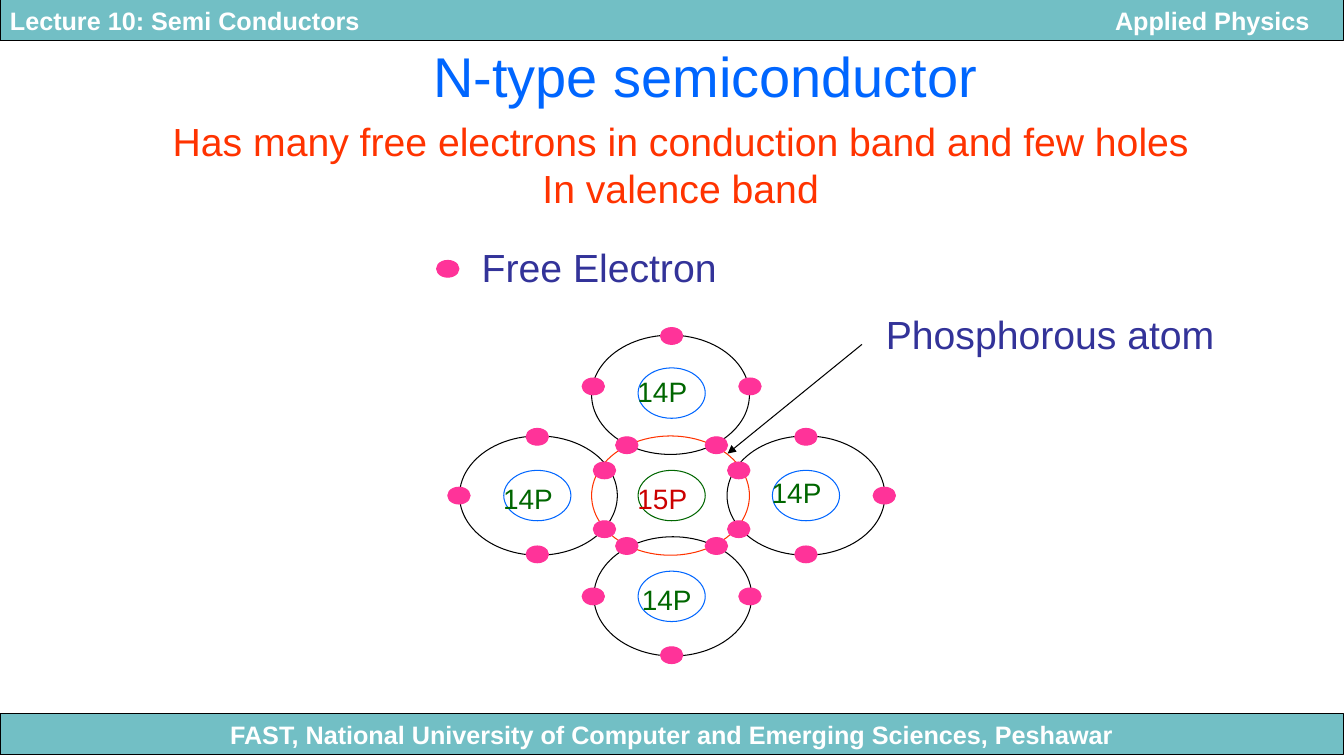
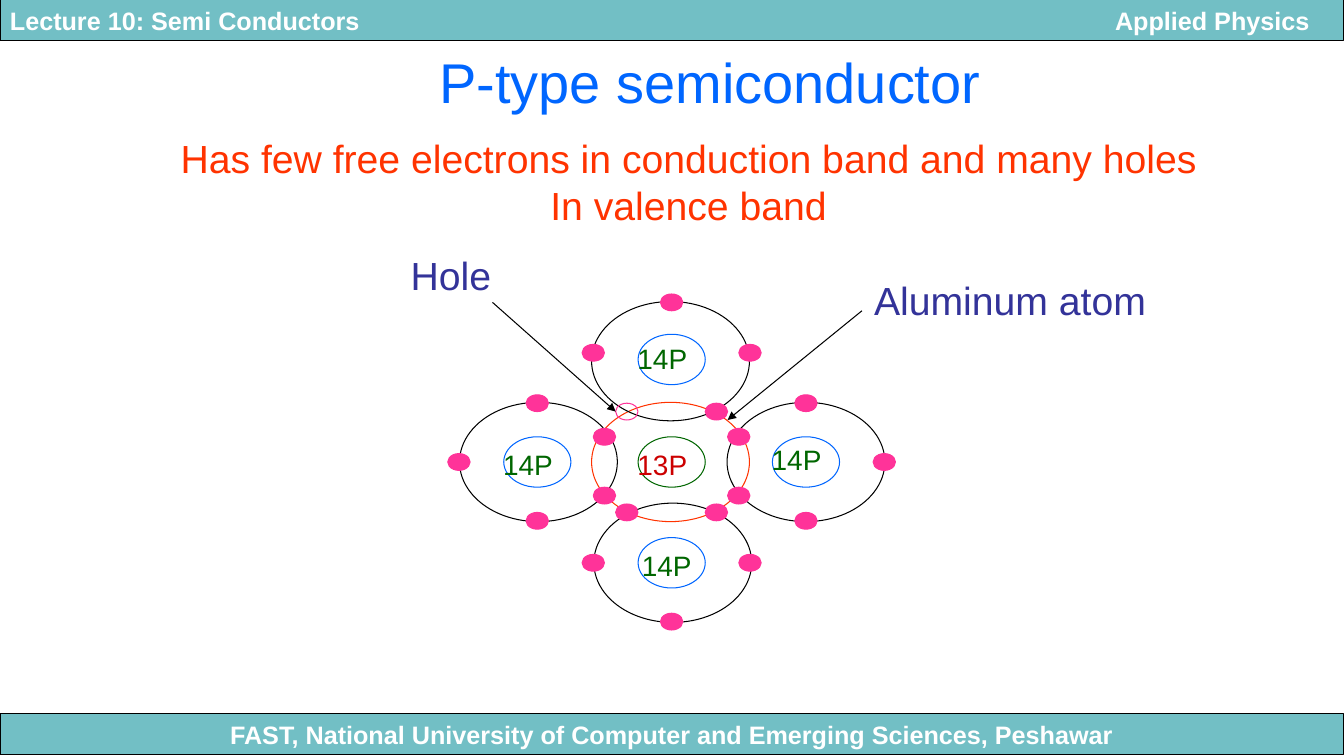
from dataclasses import dataclass

from lxml import etree
from pptx import Presentation
from pptx.dml.color import RGBColor
from pptx.enum.shapes import MSO_CONNECTOR, MSO_SHAPE
from pptx.enum.text import MSO_ANCHOR, PP_ALIGN
from pptx.oxml.ns import qn
from pptx.util import Inches, Pt

OVAL, RECTANGLE = MSO_SHAPE.OVAL, MSO_SHAPE.RECTANGLE
STRAIGHT = MSO_CONNECTOR.STRAIGHT
MIDDLE = MSO_ANCHOR.MIDDLE
LEFT, CENTER = PP_ALIGN.LEFT, PP_ALIGN.CENTER

TEAL = RGBColor(0x72, 0xBF, 0xC5)
BLACK = RGBColor(0x00, 0x00, 0x00)
WHITE = RGBColor(0xFF, 0xFF, 0xFF)
BLUE = RGBColor(0x00, 0x66, 0xFF)
ORANGE = RGBColor(0xFF, 0x33, 0x00)
INDIGO = RGBColor(0x33, 0x33, 0x99)
PINK = RGBColor(0xFF, 0x33, 0x99)
GREEN = RGBColor(0x00, 0x66, 0x00)
RED = RGBColor(0xCC, 0x00, 0x00)

FONT = "Arial"
COLUMNS, ROWS = 120, 90
COLUMN, ROW = Inches(1) / 9, Inches(1) / 12
BAND_ROWS = 4.8
HAIRLINE = Pt(0.75)

SHELL = (14.1, 14.2)
NUCLEUS = (6, 6)
ELECTRON = (2, 2)
LABEL = (7.5, 5.3)
HOLE_SITE = (-4, -6)
BOND_SITES = [(x, y) for x in (-6, 6) for y in (-3, 4)]
BOND_SITES += [(x, y) for x in (-4, 4) for y in (-6, 6)]
OUTER_SITES = [(0, -19), (0, 19), (-19, 0), (19, 0)]
OUTER_SITES += [(x, y) for x in (-12, 12) for y in (-7, 7)]
OUTER_SITES += [(x, y) for x in (-7, 7) for y in (-13, 12)]


@dataclass
class Atom:
    """Place of an atom from the lattice centre, and of its label from the atom."""
    column: float
    row: float
    shell_shift: float
    label_column: float
    label_row: float
    nucleus_shift: float = 0


DOPANT = Atom(0, 0, -0.1, -3.95, -2.3)
SILICON = [
    Atom(0, -12, -0.1, -3.95, -2.95, -0.2),
    Atom(12, 0, 0, -3.95, -2.95),
    Atom(-12, 0, 0.1, -3.95, -2.3),
    Atom(0, 12, 0.1, -3.55, -2.3),
]


def place(column, row, columns, rows):
    """Turn a grid box into slide lengths."""
    return round(column * COLUMN), round(row * ROW), round(columns * COLUMN), round(rows * ROW)


def style_text(frame, text, size, color, align=LEFT, bold=False):
    """Fill a text frame and format its runs."""
    frame.text = text
    for paragraph in frame.paragraphs:
        paragraph.alignment = align
        for run in paragraph.runs:
            run.font.name = FONT
            run.font.size = Pt(size)
            run.font.bold = bold
            run.font.color.rgb = color


def add_text(slide, box, text, size, color, align=LEFT):
    """Add text in a grid box."""
    frame = slide.shapes.add_textbox(*place(*box)).text_frame
    frame.word_wrap = True
    style_text(frame, text, size, color, align)


def add_outline(slide, preset, box, line, fill=None):
    """Add a thin-lined shape in a grid box."""
    shape = slide.shapes.add_shape(preset, *place(*box))
    shape.shadow.inherit = False
    shape.line.color.rgb = line
    shape.line.width = HAIRLINE
    if fill is None:
        shape.fill.background()
    else:
        shape.fill.solid()
        shape.fill.fore_color.rgb = fill
    return shape


def add_oval(slide, center, size, line, fill=None):
    """Add an oval around a grid point."""
    (column, row), (columns, rows) = center, size
    add_outline(slide, OVAL, (column - columns / 2, row - rows / 2, columns, rows), line, fill)


def add_band(slide, row, text, align):
    """Add a full-width teal band."""
    band = add_outline(slide, RECTANGLE, (0, row, COLUMNS, BAND_ROWS), BLACK, TEAL)
    frame = band.text_frame
    frame.vertical_anchor = MIDDLE
    style_text(frame, text, 18, WHITE, align, bold=True)
    return frame.paragraphs[0]


def add_frame(slide):
    """Add the header and footer bands."""
    add_band(slide, 85, "FAST, National University of Computer and Emerging Sciences, Peshawar", CENTER)
    header = add_band(slide, 0, "Lecture 10: Semi Conductors\tApplied Physics", LEFT)
    tabs = etree.SubElement(header._p.get_or_add_pPr(), qn("a:tabLst"))
    etree.SubElement(tabs, qn("a:tab"), pos=str(Inches(12.9)), algn="r")


def add_lattice(slide, center, dopant_label, has_hole):
    """Draw the dopant, its four neighbours and their electrons around a centre."""
    def at(column, row):
        return center[0] + column, center[1] + row

    def add_atom(atom, label, shell_color, nucleus_color, label_color):
        add_oval(slide, at(atom.column + atom.shell_shift, atom.row), SHELL, shell_color)
        add_oval(slide, at(atom.column, atom.row + atom.nucleus_shift), NUCLEUS, nucleus_color)
        corner = at(atom.column + atom.label_column, atom.row + atom.label_row)
        add_text(slide, (*corner, *LABEL), label, 20, label_color)

    add_atom(DOPANT, dopant_label, ORANGE, GREEN, RED)
    for neighbour in SILICON:
        add_atom(neighbour, "14P", BLACK, BLUE, GREEN)
    for site in BOND_SITES + OUTER_SITES:
        is_hole = has_hole and site == HOLE_SITE
        add_oval(slide, at(*site), ELECTRON, PINK, None if is_hole else PINK)


def add_pointer(slide, center, start, tip):
    """Draw an arrow between two points given from the lattice centre."""
    ends = [round((origin + offset) * step) for point in (start, tip)
            for origin, offset, step in zip(center, point, (COLUMN, ROW))]
    pointer = slide.shapes.add_connector(STRAIGHT, *ends)
    pointer.line.color.rgb = BLACK
    pointer.line.width = HAIRLINE
    etree.SubElement(pointer.line._get_or_add_ln(), qn("a:tailEnd"), type="triangle")
    etree.SubElement(pointer._element.spPr, qn("a:effectLst"))


def add_callout(slide, box, text):
    """Name a part of the lattice."""
    add_text(slide, box, text, 28, INDIGO)


def add_semiconductor(deck, title, title_box, claim, claim_box, center, dopant_label, has_hole):
    """Add a slide with bands, title, claim, lattice and dopant pointer."""
    slide = deck.slides.add_slide(deck.slide_layouts[6])
    add_frame(slide)
    add_lattice(slide, center, dopant_label, has_hole)
    add_text(slide, title_box, title, 40, BLUE, CENTER)
    add_text(slide, claim_box, claim, 28, ORANGE, CENTER)
    add_pointer(slide, center, (17, -18), (5, -5))
    return slide


def add_n_type(deck):
    """Add the N-type slide."""
    slide = add_semiconductor(
        deck, "N-type semiconductor", (18.9, 4.3, 88.2, 9.2),
        "Has many free electrons in conduction band and few holes\nIn valence band",
        (13.5, 13.4, 94.6, 12.5), (60, 59), "15P", False)
    add_oval(slide, (40, 32), ELECTRON, PINK, PINK)
    add_callout(slide, (42.15, 28.4, 25, 6.8), "Free Electron")
    add_callout(slide, (78.25, 36.4, 34, 6.8), "Phosphorous atom")


def add_p_type(deck):
    """Add the P-type slide."""
    center = (60, 55)
    slide = add_semiconductor(
        deck, "P-type semiconductor", (19.3, 5.1, 88.2, 9.2),
        "Has few free electrons in conduction band and many holes\nIn valence band",
        (14.2, 15.4, 94.6, 12.5), center, "13P", True)
    add_pointer(slide, center, (-16, -19), (-5, -6))
    add_callout(slide, (35.8, 29.3, 11, 6.8), "Hole")
    add_callout(slide, (77.2, 32.3, 29, 6.8), "Aluminum atom")


def main():
    """Build and save the deck."""
    deck = Presentation()
    deck.slide_width, deck.slide_height = Inches(13.34), round(ROWS * ROW)
    add_n_type(deck)
    add_p_type(deck)
    deck.save("out.pptx")


if __name__ == "__main__":
    main()
